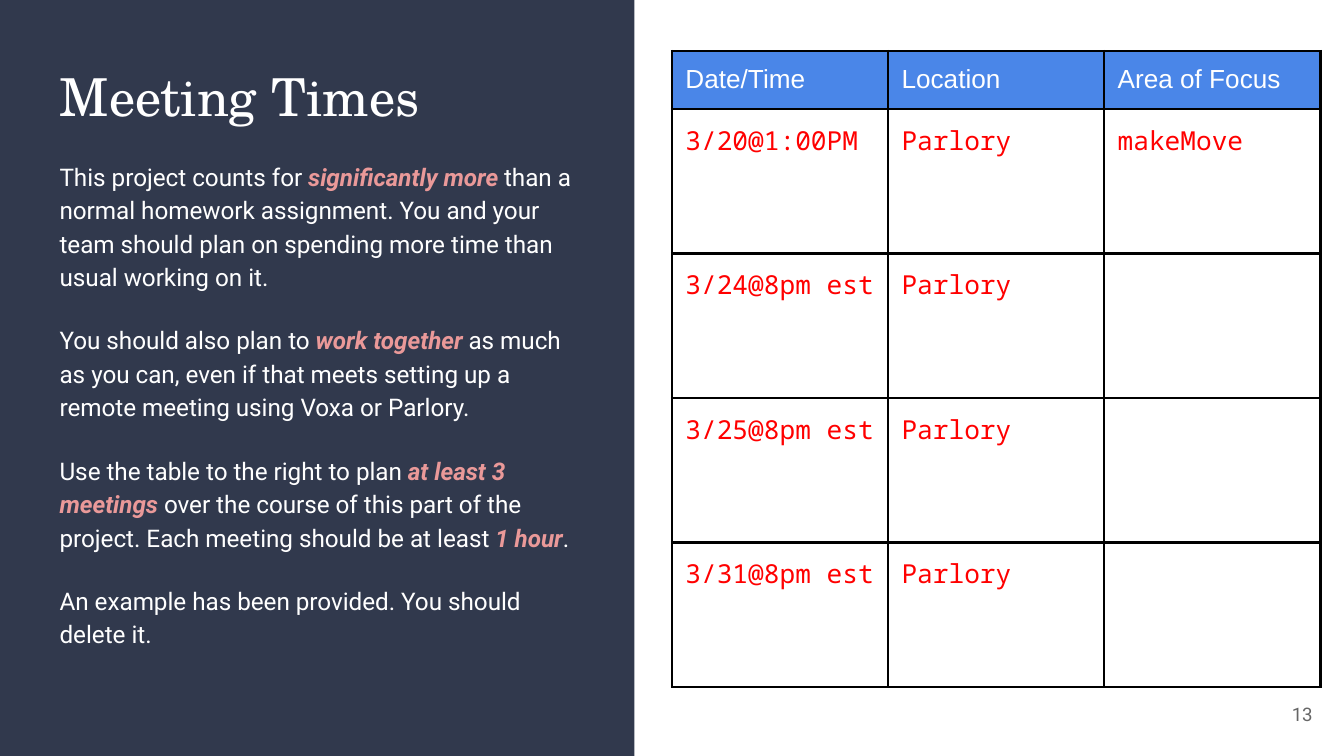
from lxml import etree
from pptx import Presentation
from pptx.dml.color import RGBColor
from pptx.enum.shapes import MSO_SHAPE
from pptx.enum.text import MSO_ANCHOR, MSO_AUTO_SIZE, PP_ALIGN
from pptx.oxml.ns import qn
from pptx.util import Emu, Inches, Pt

RECTANGLE = MSO_SHAPE.RECTANGLE
TOP, MIDDLE = MSO_ANCHOR.TOP, MSO_ANCHOR.MIDDLE
LEFT, RIGHT = PP_ALIGN.LEFT, PP_ALIGN.RIGHT
NO_AUTOFIT = MSO_AUTO_SIZE.NONE
TITLE_ONLY = 5

NAVY, WHITE, PINK = "31394D", "FFFFFF", "EA9999"
BLUE, RED, BLACK, GRAY = "4A86E8", "FF0000", "000000", "666666"
INSET = Inches(0.1)

BODY = [
    "This project counts for *significantly more* than a normal homework assignment. "
    "You and your team should plan on spending more time than usual working on it.",
    "You should also plan to *work together *as much as you can, even if that meets "
    "setting up a remote meeting using Voxa or Parlory.",
    "Use the table to the right to plan *at least 3 meetings *over the course of this "
    "part of the project. Each meeting should be at least *1 hour*.",
    "An example has been provided. You should delete it.",
]
MEETINGS = [
    ["Date/Time", "Location", "Area of Focus"],
    ["3/20@1:00PM", "Parlory", "makeMove"],
    ["3/24@8pm est", "Parlory", ""],
    ["3/25@8pm est", "Parlory", ""],
    ["3/31@8pm est", "Parlory", ""],
]


def color(hex_string):
    return RGBColor.from_string(hex_string)


class SlideBuilder:
    """Holds the style and the current slide; lengths are percent of the slide."""

    def __init__(self, presentation):
        self.width = presentation.slide_width
        self.height = presentation.slide_height
        self.slide = presentation.slides.add_slide(presentation.slide_layouts[TITLE_ONLY])
        self.shapes = self.slide.shapes

    def across(self, percent):
        return Emu(round(self.width * percent / 100))

    def down(self, percent):
        return Emu(round(self.height * percent / 100))

    def box(self, left, top, width, height):
        return self.across(left), self.down(top), self.across(width), self.down(height)

    def style(self, paragraph, font_name, size, hex_string, alignment=LEFT):
        paragraph.alignment = alignment
        font = paragraph.font
        font.name, font.size = font_name, Pt(size)
        font.color.rgb = color(hex_string)

    def prepare(self, frame, anchor=TOP):
        frame.word_wrap = True
        frame.auto_size = NO_AUTOFIT
        frame.vertical_anchor = anchor
        frame.margin_left = frame.margin_right = INSET
        frame.margin_top = frame.margin_bottom = INSET

    def panel(self, box, fill):
        shape = self.shapes.add_shape(RECTANGLE, *self.box(*box))
        shape.shadow.inherit = False
        shape.fill.solid()
        shape.fill.fore_color.rgb = color(fill)
        shape.line.fill.background()
        # Move behind the title placeholder
        tree = shape.element.getparent()
        tree.remove(shape.element)
        tree.insert(2, shape.element)

    def title(self, box, text):
        title = self.shapes.title
        title.left, title.top, title.width, title.height = self.box(*box)
        self.prepare(title.text_frame)
        title.text_frame.text = text
        self.style(title.text_frame.paragraphs[0], "TeX Gyre Schola", 28, WHITE)

    def text(self, box, texts, size, hex_string, alignment=LEFT, anchor=TOP,
             line_spacing=1.0, gap=0):
        """Words between asterisks are emphasized."""
        frame = self.shapes.add_textbox(*self.box(*box)).text_frame
        self.prepare(frame, anchor)
        for index, text in enumerate(texts):
            paragraph = frame.add_paragraph() if index else frame.paragraphs[0]
            self.style(paragraph, "Roboto", size, hex_string, alignment)
            paragraph.line_spacing = line_spacing
            paragraph.space_before = Pt(gap if index else 0)
            for part, words in enumerate(text.split("*")):
                run = paragraph.add_run()
                run.text = words
                if part % 2:
                    run.font.bold = run.font.italic = True
                    run.font.color.rgb = color(PINK)

    def borders(self, cell, hex_string, points):
        properties = cell._tc.get_or_add_tcPr()
        for side in ("a:lnL", "a:lnR", "a:lnT", "a:lnB"):
            line = etree.SubElement(properties, qn(side), w=str(Pt(points)))
            fill = etree.SubElement(line, qn("a:solidFill"))
            etree.SubElement(fill, qn("a:srgbClr"), val=hex_string)

    def table(self, left, top, column_width, header_height, row_height, rows):
        columns = len(rows[0])
        height = header_height + row_height * (len(rows) - 1)
        box = self.box(left, top, column_width * columns, height)
        table = self.shapes.add_table(len(rows), columns, *box).table
        table.horz_banding = False
        for column in table.columns:
            column.width = self.across(column_width)
        for row_index, values in enumerate(rows):
            header = row_index == 0
            table.rows[row_index].height = self.down(header_height if header else row_height)
            for column_index, value in enumerate(values):
                cell = table.cell(row_index, column_index)
                cell.margin_left = cell.margin_right = INSET
                cell.margin_top = cell.margin_bottom = INSET
                self.borders(cell, BLACK, 1.5)
                cell.text = value
                paragraph = cell.text_frame.paragraphs[0]
                if header:
                    cell.fill.solid()
                    cell.fill.fore_color.rgb = color(BLUE)
                    self.style(paragraph, "Arial", 14, WHITE)
                    paragraph.font.bold = False
                else:
                    cell.fill.background()
                    self.style(paragraph, "Noto Sans Mono", 14, RED)


def main():
    presentation = Presentation()
    presentation.slide_width = Inches(10)
    presentation.slide_height = Emu(presentation.slide_width * 9 // 16)
    builder = SlideBuilder(presentation)

    # Left panel with title and instructions
    builder.panel((0, 0, 47.2, 100), NAVY)
    builder.title((3.45, 6.76, 40.5, 12.44), "Meeting Times")
    builder.text((3.45, 19.05, 40.5, 68.62), BODY, 13, WHITE, line_spacing=1.15, gap=16)

    # Meeting plan
    builder.table(50, 6.76, 16.08, 7.65, 19.12, MEETINGS)

    # Slide number
    builder.text((92.66, 90.67, 6, 7.65), ["13"], 10, GRAY, RIGHT, MIDDLE)

    presentation.save("out.pptx")


if __name__ == "__main__":
    main()
